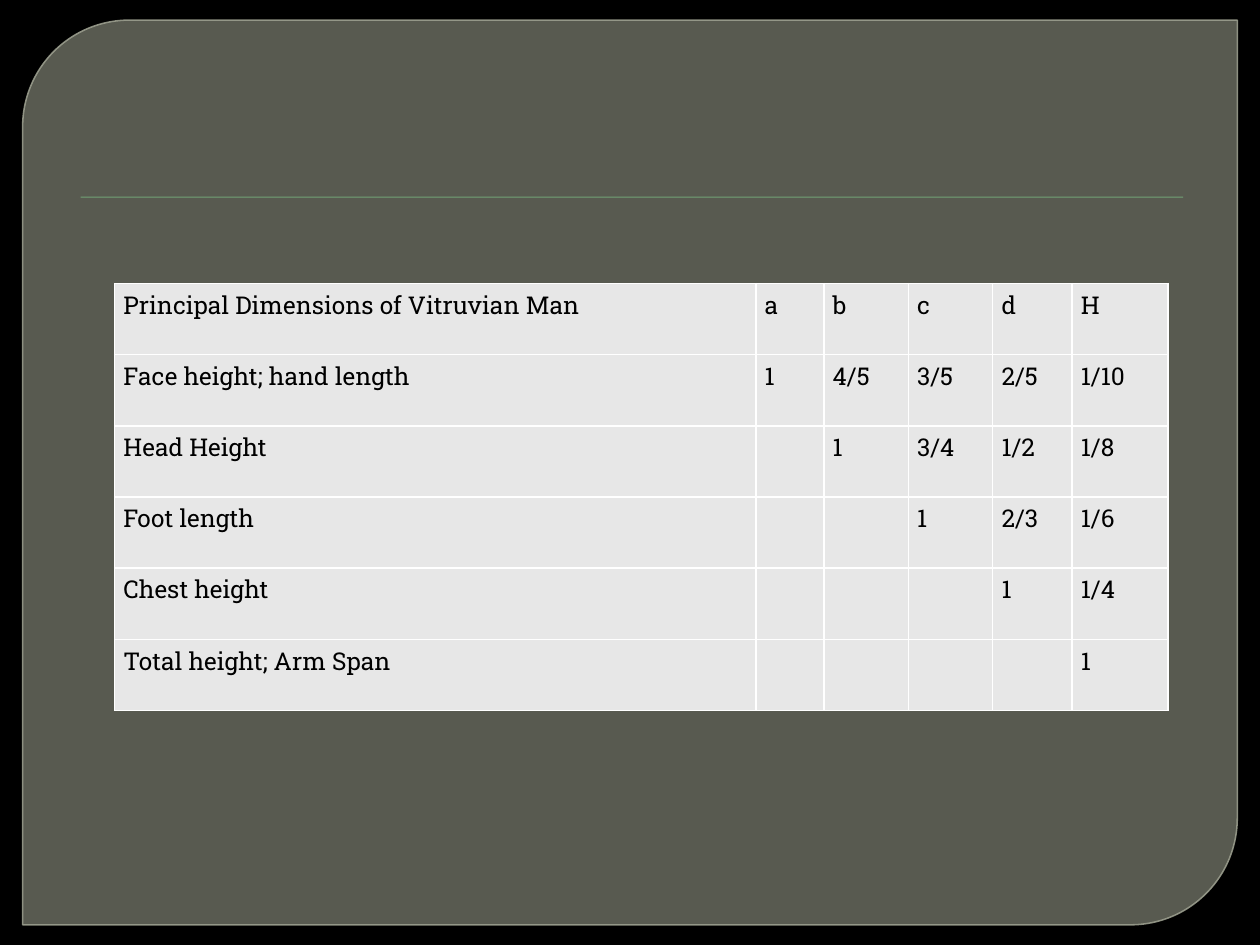
from dataclasses import dataclass

from lxml.etree import SubElement
from pptx import Presentation
from pptx.dml.color import RGBColor
from pptx.enum.shapes import MSO_SHAPE
from pptx.oxml.ns import qn
from pptx.util import Inches, Pt

COLORS = {
    "background": "000000",
    "panel": "888B7B",
    "panel_line": "9DA090",
    "rule": "72A376",
    "cell": "E7E7E7",
    "border": "FFFFFF",
    "text": "000000",
}
FONT = "Roboto Slab"
COLUMN_WIDTHS = [5.09, 0.54, 0.67, 0.67, 0.63, 0.76]
ROW_HEIGHT = 0.565
ROWS = [
    ["Principal Dimensions of Vitruvian Man", "a", "b", "c", "d", "H"],
    ["Face height; hand length", "1", "4/5", "3/5", "2/5", "1/10"],
    ["Head Height", "", "1", "3/4", "1/2", "1/8"],
    ["Foot length", "", "", "1", "2/3", "1/6"],
    ["Chest height", "", "", "", "1", "1/4"],
    ["Total height; Arm Span", "", "", "", "", "1"],
]


@dataclass
class Block:
    preset: MSO_SHAPE
    left: float
    top: float
    width: float
    height: float
    color: str


def rgb(name: str) -> RGBColor:
    return RGBColor.from_string(COLORS[name])


def set_alpha(solid_fill, percent: int) -> None:
    SubElement(solid_fill[0], qn("a:alpha"), val=str(percent * 1000))


def draw_block(slide, block: Block):
    shape = slide.shapes.add_shape(
        block.preset, Inches(block.left), Inches(block.top),
        Inches(block.width), Inches(block.height))
    shape.shadow.inherit = False
    shape.fill.solid()
    shape.fill.fore_color.rgb = rgb(block.color)
    shape.line.fill.background()
    return shape


def draw_panel(slide) -> None:
    panel = draw_block(slide, Block(
        MSO_SHAPE.ROUND_2_DIAG_RECTANGLE, 0.18, 0.16, 9.64, 7.18, "panel"))
    panel.adjustments[0] = 0.118
    panel.adjustments[1] = 0
    panel.line.color.rgb = rgb("panel_line")
    panel.line.width = Pt(0.87)
    properties = panel.element.spPr
    set_alpha(properties.find(qn("a:solidFill")), 65)
    set_alpha(properties.find(qn("a:ln")).find(qn("a:solidFill")), 88)


def draw_rule(slide) -> None:
    rule = draw_block(slide, Block(
        MSO_SHAPE.RECTANGLE, 0.64, 1.56, 8.75, 0.01, "rule"))
    effects = rule.element.spPr.find(qn("a:effectLst"))
    shadow = SubElement(effects, qn("a:outerShdw"), blurRad=str(Pt(1)),
                        dist=str(Pt(1)), dir="5400000", rotWithShape="0")
    color = SubElement(shadow, qn("a:srgbClr"), val=COLORS["background"])
    SubElement(color, qn("a:alpha"), val="75000")


def format_cell(cell, text: str) -> None:
    # Borders come before the fill in the cell properties
    properties = cell._tc.get_or_add_tcPr()
    for side in ("lnL", "lnR", "lnT", "lnB"):
        line = SubElement(properties, qn(f"a:{side}"), w=str(Pt(1)))
        fill = SubElement(line, qn("a:solidFill"))
        SubElement(fill, qn("a:srgbClr"), val=COLORS["border"])
    cell.fill.solid()
    cell.fill.fore_color.rgb = rgb("cell")
    cell.margin_left = cell.margin_right = Inches(0.07)
    cell.margin_top = cell.margin_bottom = 0
    cell.text_frame.text = text
    para = cell.text_frame.paragraphs[0]
    para.line_spacing = 1.15
    for span in para.runs:
        span.font.name = FONT
        span.font.size = Pt(14)
        span.font.bold = False
        span.font.color.rgb = rgb("text")


def draw_table(slide) -> None:
    frame = slide.shapes.add_table(
        len(ROWS), len(COLUMN_WIDTHS), Inches(0.91), Inches(2.25),
        Inches(sum(COLUMN_WIDTHS)), Inches(ROW_HEIGHT * len(ROWS)))
    table = frame.table
    table.first_row = False
    table.horz_banding = False
    for column, width in zip(table.columns, COLUMN_WIDTHS):
        column.width = Inches(width)
    for row, texts in zip(table.rows, ROWS):
        row.height = Inches(ROW_HEIGHT)
        for cell, text in zip(row.cells, texts):
            format_cell(cell, text)


def main() -> None:
    deck = Presentation()
    deck.slide_width, deck.slide_height = Inches(10), Inches(7.5)
    page = deck.slides.add_slide(deck.slide_layouts[6])
    page.background.fill.solid()
    page.background.fill.fore_color.rgb = rgb("background")

    # Backdrop
    draw_panel(page)
    draw_rule(page)
    # Proportions table
    draw_table(page)
    deck.save("out.pptx")


if __name__ == "__main__":
    main()
